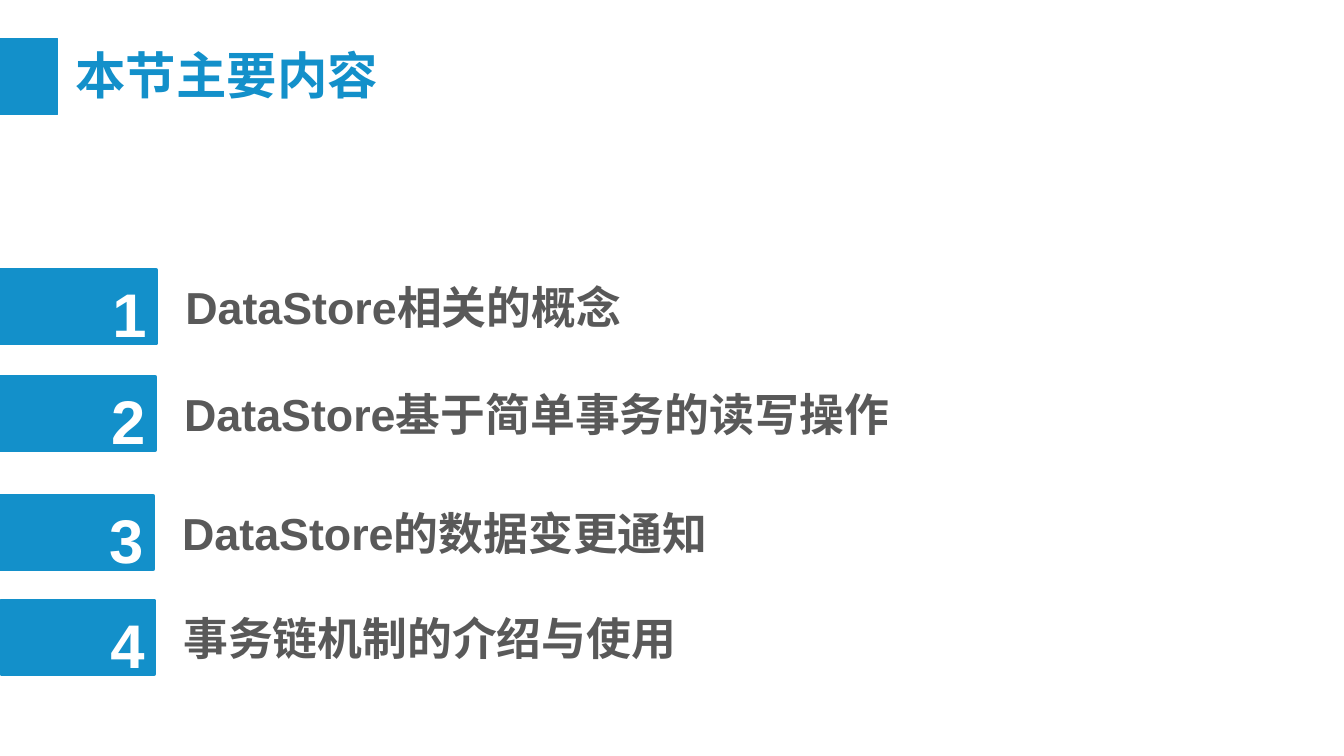
import pptx
import pptx.dml.color
import pptx.enum.shapes
import pptx.enum.text
import pptx.util

Cm = pptx.util.Cm
Pt = pptx.util.Pt
ALIGN = pptx.enum.text.PP_ALIGN
ANCHOR = pptx.enum.text.MSO_ANCHOR


def colour(hex_value):
    return pptx.dml.color.RGBColor.from_string(hex_value)


def write(shape, text, size, hex_value, align=ALIGN.LEFT, anchor=ANCHOR.TOP, line_spacing=1.0, gap=0):
    frame = shape.text_frame
    frame.word_wrap = True
    frame.auto_size = pptx.enum.text.MSO_AUTO_SIZE.NONE
    frame.vertical_anchor = anchor
    paragraph = frame.paragraphs[0]
    paragraph.alignment = align
    paragraph.line_spacing = line_spacing
    paragraph.space_before = paragraph.space_after = Pt(gap)
    run = paragraph.add_run()
    run.text = text
    run.font.name = "Arial"
    run.font.size = Pt(size)
    run.font.bold = True
    run.font.color.rgb = colour(hex_value)


class AgendaSlide:
    blue = "1390CA"
    grey = "595959"
    white = "FFFFFF"
    bar_height = 1.84

    def __init__(self, deck):
        self.slide = deck.slides.add_slide(deck.slide_layouts[5])

    def bar(self, left, top, width, height, line_width):
        block = self.slide.shapes.add_shape(
            pptx.enum.shapes.MSO_SHAPE.RECTANGLE, Cm(left), Cm(top), Cm(width), Cm(height))
        block.shadow.inherit = False
        block.fill.solid()
        block.fill.fore_color.rgb = colour(self.blue)
        block.line.color.rgb = colour(self.blue)
        block.line.width = Pt(line_width)

    def title(self, text, left, top, width, height):
        heading = self.slide.shapes.title
        heading.left, heading.top = Cm(left), Cm(top)
        heading.width, heading.height = Cm(width), Cm(height)
        write(heading, text, 36, self.blue, gap=6)

    def text(self, text, left, top, width, height, size, hex_value, **style):
        box = self.slide.shapes.add_textbox(Cm(left), Cm(top), Cm(width), Cm(height))
        write(box, text, size, hex_value, **style)

    def topic(self, number, label, left, top, right, label_width):
        self.bar(left, top, right - left, self.bar_height, 3)
        self.text(str(number), right - 1.36, top - 0.27, 0.88, 2.33, 44, self.white,
                  align=ALIGN.CENTER, anchor=ANCHOR.MIDDLE, line_spacing=1.2)
        self.text(label, right + 0.48, top + 0.12, label_width, 1.63, 32, self.grey)


def main():
    deck = pptx.Presentation()
    deck.slide_width, deck.slide_height = Cm(33.87), Cm(19.05)
    agenda = AgendaSlide(deck)
    agenda.bar(0, 0.97, 1.45, 1.91, 1)
    agenda.title("本节主要内容", 1.65, 0.99, 9.17, 3.33)
    topics = [
        ("DataStore相关的概念", 0, 6.81, 3.94, 19.38),
        ("DataStore基于简单事务的读写操作", 0, 9.5, 3.91, 19.18),
        ("DataStore的数据变更通知", 0, 12.5, 3.86, 16.1),
        ("事务链机制的介绍与使用", 0.03, 15.14, 3.89, 16.1),
    ]
    for number, topic in enumerate(topics, start=1):
        agenda.topic(number, *topic)
    deck.save("out.pptx")


if __name__ == "__main__":
    main()
